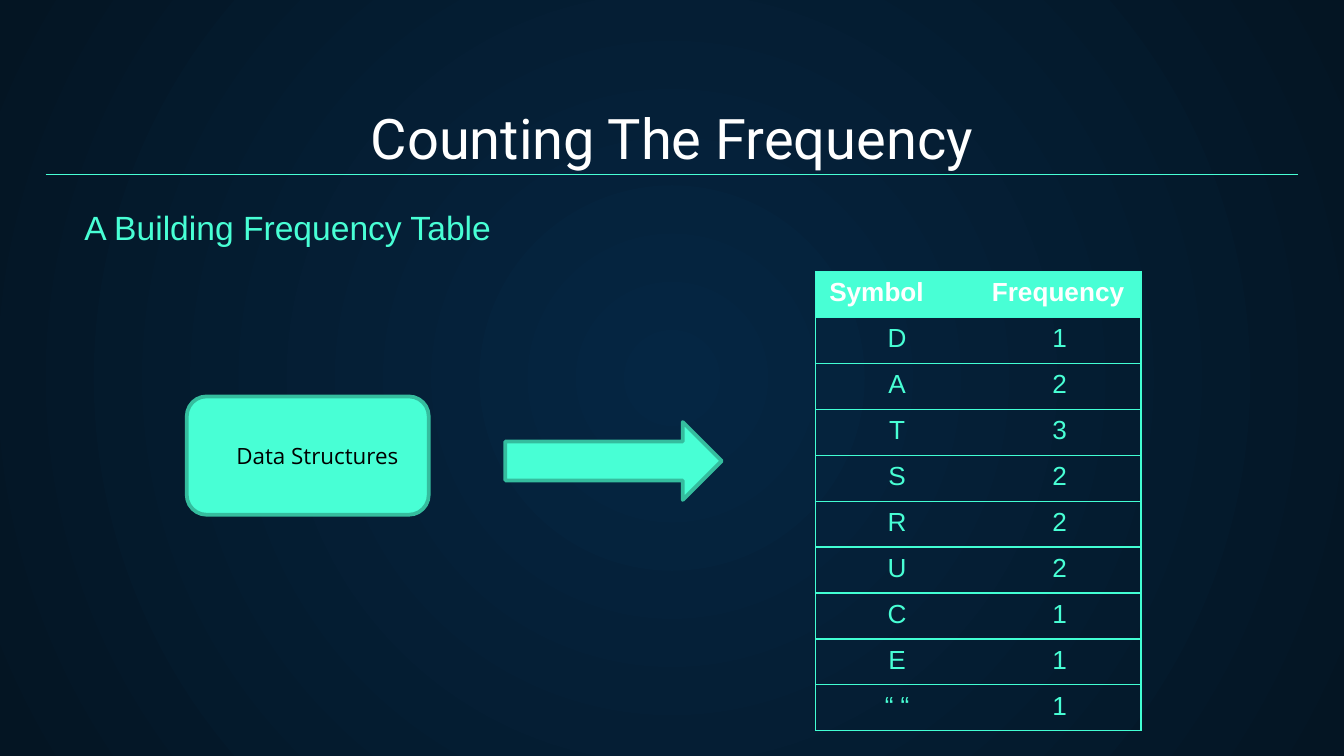
from dataclasses import dataclass

from lxml import etree
from pptx import Presentation
from pptx.dml.color import RGBColor
from pptx.enum import shapes, text
from pptx.oxml import ns
from pptx.util import Inches, Pt


@dataclass(frozen=True)
class Theme:
    center: str = "052643"
    edge: str = "041523"
    accent: str = "48FFD5"
    outline: str = "35BD9E"
    grid: str = "42FED3"
    white: str = "FFFFFF"
    black: str = "000000"
    title_size: float = 30
    subtitle_size: float = 18
    table_size: float = 14
    label_size: float = 12
    rule_width: float = 0.75
    outline_width: float = 2


@dataclass(frozen=True)
class Box:
    left: float
    top: float
    width: float
    height: float

    def emu(self) -> list[int]:
        return [Inches(v) for v in (self.left, self.top, self.width, self.height)]


@dataclass(frozen=True)
class Label:
    words: str
    box: Box
    font: str
    size: float
    color: str


@dataclass(frozen=True)
class Block:
    kind: shapes.MSO_SHAPE
    box: Box


THEME = Theme()
TITLE = Label("Counting The Frequency", Box(0.34, 0.71, 9.32, 0.66),
              "Roboto", THEME.title_size, THEME.white)
LABELS = [
    Label("A Building Frequency Table", Box(0.53, 1.49, 9.13, 0.4),
          "Arial", THEME.subtitle_size, THEME.accent),
    Label("Data Structures", Box(1.66, 3.24, 2.42, 0.3),
          "Open Sans", THEME.label_size, THEME.black),
]
BLOCKS = [
    Block(shapes.MSO_SHAPE.ROUNDED_RECTANGLE, Box(1.39, 2.95, 1.8, 0.88)),
    Block(shapes.MSO_SHAPE.RIGHT_ARROW, Box(3.76, 3.14, 1.61, 0.58)),
]
HEADER = ("Symbol", "Frequency")
COUNTS = [("D", 1), ("A", 2), ("T", 3), ("S", 2), ("R", 2),
          ("U", 2), ("C", 1), ("E", 1), ("“ “", 1)]
TABLE_BOX = Box(6.07, 2.02, 2.42, 3.42)
NO_GRID_STYLE = "{2D5ABB26-0587-4C30-8999-92F81FD0307C}"


def rgb(color: str) -> RGBColor:
    return RGBColor.from_string(color)


def style(p, font: str, size: float, color: str, bold: bool = False) -> None:
    p.font.name = font
    p.font.size = Pt(size)
    p.font.bold = bold
    p.font.color.rgb = rgb(color)


def paint_background(s) -> None:
    fill = s.background.fill
    fill.gradient()
    for stop, color in zip(fill.gradient_stops, (THEME.center, THEME.edge)):
        stop.color.rgb = rgb(color)
    grad = s._element.find(".//" + ns.qn("a:gradFill"))
    grad.remove(grad.find(ns.qn("a:lin")))
    radial = etree.SubElement(grad, ns.qn("a:path"), path="circle")
    etree.SubElement(radial, ns.qn("a:fillToRect"),
                     l="50000", t="50000", r="50000", b="50000")


def fill_title(sp, label: Label) -> None:
    sp.left, sp.top, sp.width, sp.height = label.box.emu()
    tf = sp.text_frame
    tf.auto_size = text.MSO_AUTO_SIZE.NONE
    tf.vertical_anchor = text.MSO_ANCHOR.BOTTOM
    tf.margin_left = tf.margin_right = tf.margin_top = tf.margin_bottom = Inches(0.1)
    p = tf.paragraphs[0]
    p.text = label.words
    p.alignment = text.PP_ALIGN.CENTER
    style(p, label.font, label.size, label.color)


def add_rule(s, left: float, right: float, y: float) -> None:
    line = s.shapes.add_connector(shapes.MSO_CONNECTOR.STRAIGHT,
                                  Inches(left), Inches(y), Inches(right), Inches(y))
    line.line.color.rgb = rgb(THEME.accent)
    line.line.width = Pt(THEME.rule_width)
    etree.SubElement(line._element.spPr, ns.qn("a:effectLst"))


def add_label(s, label: Label) -> None:
    tf = s.shapes.add_textbox(*label.box.emu()).text_frame
    tf.word_wrap = True
    tf.auto_size = text.MSO_AUTO_SIZE.SHAPE_TO_FIT_TEXT
    p = tf.paragraphs[0]
    p.text = label.words
    style(p, label.font, label.size, label.color)


def add_block(s, block: Block) -> None:
    sp = s.shapes.add_shape(block.kind, *block.box.emu())
    sp.shadow.inherit = False
    sp.fill.solid()
    sp.fill.fore_color.rgb = rgb(THEME.accent)
    sp.line.color.rgb = rgb(THEME.outline)
    sp.line.width = Pt(THEME.outline_width)


def add_borders(cell, sides: str) -> None:
    props = cell._tc.get_or_add_tcPr()
    for side in sides:
        ln = etree.SubElement(props, ns.qn(f"a:ln{side}"), w=str(Pt(THEME.rule_width)))
        solid = etree.SubElement(ln, ns.qn("a:solidFill"))
        etree.SubElement(solid, ns.qn("a:srgbClr"), val=THEME.grid)


def add_frequency_table(s) -> None:
    rows = [HEADER, *COUNTS]
    table = s.shapes.add_table(len(rows), len(HEADER), *TABLE_BOX.emu()).table
    table.first_row = table.horz_banding = False
    table._tbl.tblPr.find(ns.qn("a:tableStyleId")).text = NO_GRID_STYLE
    for i, row in enumerate(rows):
        for j, value in enumerate(row):
            cell = table.cell(i, j)
            add_borders(cell, ("L", "R")[j] + "TB")
            p = cell.text_frame.paragraphs[0]
            p.text = str(value)
            if i == 0:
                cell.fill.solid()
                cell.fill.fore_color.rgb = rgb(THEME.accent)
                style(p, "Arial", THEME.table_size, THEME.white, bold=True)
            else:
                cell.fill.background()
                p.alignment = text.PP_ALIGN.CENTER
                style(p, "Arial", THEME.table_size, THEME.accent)


def main() -> None:
    prs = Presentation()
    prs.slide_width = Inches(10)
    prs.slide_height = prs.slide_width * 9 // 16
    s = prs.slides.add_slide(prs.slide_layouts[5])
    paint_background(s)
    fill_title(s.shapes.title, TITLE)
    add_rule(s, 0.34, 9.66, 1.3)
    for block in BLOCKS:
        add_block(s, block)
    for label in LABELS:
        add_label(s, label)
    add_frequency_table(s)
    prs.save("out.pptx")


if __name__ == "__main__":
    main()
